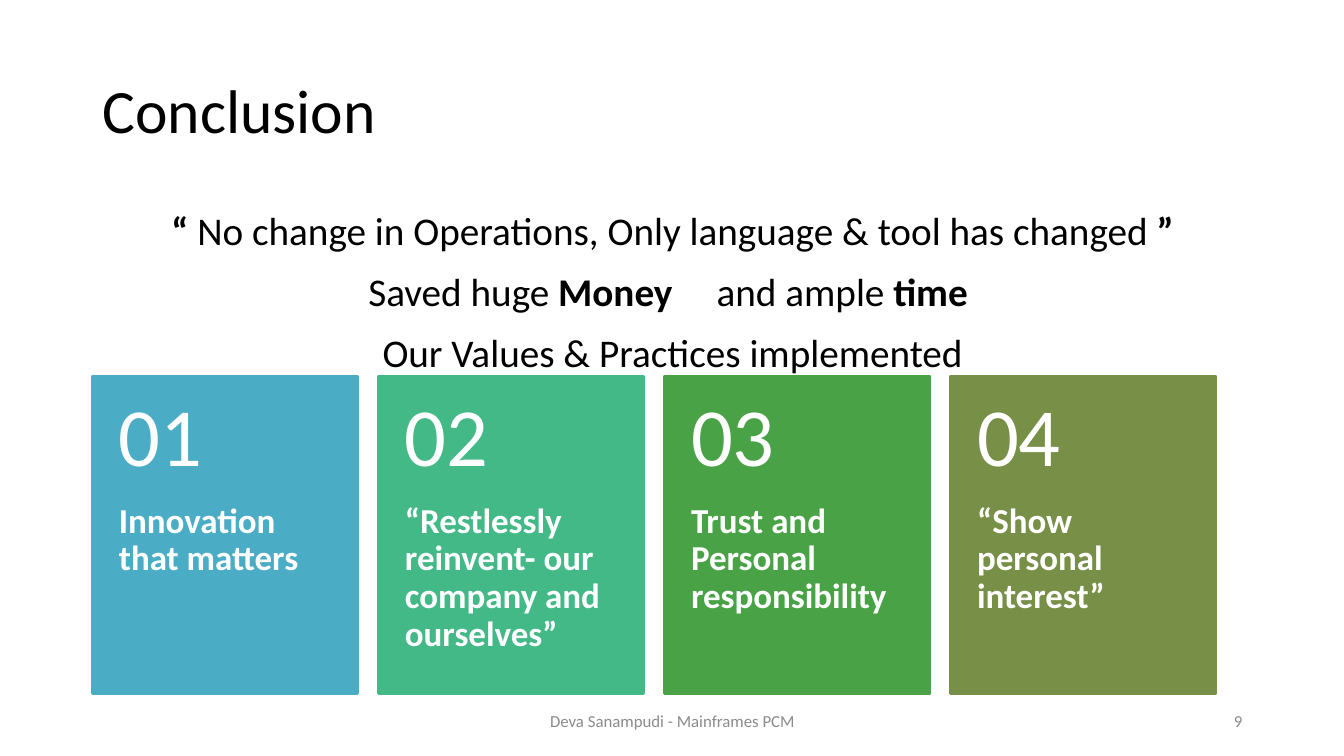
from pptx import Presentation
from pptx.dml.color import RGBColor
from pptx.enum.shapes import MSO_SHAPE
from pptx.enum.text import MSO_ANCHOR, PP_ALIGN
from pptx.util import Inches, Pt

LEFT, CENTER, RIGHT = PP_ALIGN.LEFT, PP_ALIGN.CENTER, PP_ALIGN.RIGHT
TOP, MIDDLE = MSO_ANCHOR.TOP, MSO_ANCHOR.MIDDLE
RECTANGLE = MSO_SHAPE.RECTANGLE

FONT = "Calibri"
BLACK, WHITE, GRAY = "000000", "FFFFFF", "8B8B8B"
DEFAULT_INSETS = (0.1, 0.05, 0.1, 0.05)
NUMBER_INSETS = (0.26, 0.18, 0.26, 0.18)
CARD_INSETS = (0.26, 1.26, 0.26, 0.36)

TITLE = "Conclusion"
GAP = 25.3
STATEMENTS = [
    [("“", True, 0),
     (" No change in Operations, Only language & tool has changed ", False, 0),
     ("”", True, 0)],
    [("Saved huge ", False, 0), ("Money", True, 0), (" ", False, GAP),
     ("and ample ", False, 0), ("time ", True, 0)],
    [("Our Values & Practices implemented", False, 0)],
]
CARDS = [
    ("Innovation that matters", "4BACC6"),
    ("“Restlessly reinvent- our company and ourselves”", "44B988"),
    ("Trust and Personal responsibility", "49A346"),
    ("“Show personal interest”", "778F46"),
]
FOOTER = "Deva Sanampudi - Mainframes PCM"
PAGE_NUMBER = "9"

CARD_LEFT, CARD_TOP, CARD_WIDTH, CARD_HEIGHT = 0.92, 3.73, 2.63, 3.15
CARD_PITCH = 2.837
NUMBER_HEIGHT = 1.26


def color(hex_string):
    return RGBColor.from_string(hex_string)


def prepare_frame(shape, anchor, insets):
    frame = shape.text_frame
    frame.word_wrap = True
    frame.vertical_anchor = anchor
    (frame.margin_left, frame.margin_top,
     frame.margin_right, frame.margin_bottom) = map(Inches, insets)
    return frame


def add_run(paragraph, text, size, hex_string, bold=False, spacing=0):
    run = paragraph.add_run()
    run.text = text
    run.font.name = FONT
    run.font.size = Pt(size)
    run.font.bold = bold
    run.font.color.rgb = color(hex_string)
    if spacing:
        run.font._element.set("spc", str(round(spacing * 100)))


def write_line(shape, text, size, hex_string, alignment=LEFT, anchor=MIDDLE,
               insets=DEFAULT_INSETS, bold=False, line_spacing=1.0):
    paragraph = prepare_frame(shape, anchor, insets).paragraphs[0]
    paragraph.alignment = alignment
    paragraph.line_spacing = line_spacing
    add_run(paragraph, text, size, hex_string, bold)


def add_text_box(slide, left, top, width, height):
    return slide.shapes.add_textbox(*map(Inches, (left, top, width, height)))


def add_statements(slide):
    frame = prepare_frame(add_text_box(slide, 0.92, 2, 11.5, 1.73), TOP, DEFAULT_INSETS)
    for index, runs in enumerate(STATEMENTS):
        paragraph = frame.add_paragraph() if index else frame.paragraphs[0]
        paragraph.alignment = CENTER
        paragraph.space_before = Pt(10 if index else 0)
        for text, bold, spacing in runs:
            add_run(paragraph, text, 28, BLACK, bold, spacing)


def add_card(slide, index, text, fill):
    left = CARD_LEFT + index * CARD_PITCH
    card = slide.shapes.add_shape(
        RECTANGLE, *map(Inches, (left, CARD_TOP, CARD_WIDTH, CARD_HEIGHT)))
    card.shadow.inherit = False
    card.fill.solid()
    card.fill.fore_color.rgb = color(fill)
    card.line.color.rgb = color(fill)
    card.line.width = Pt(2)
    write_line(card, text, 25, WHITE, anchor=TOP, insets=CARD_INSETS,
               bold=True, line_spacing=0.9)
    number = add_text_box(slide, left, CARD_TOP, CARD_WIDTH, NUMBER_HEIGHT)
    write_line(number, f"{index + 1:02}", 59, WHITE, insets=NUMBER_INSETS,
               line_spacing=0.9)


def main():
    presentation = Presentation()
    presentation.slide_width = Inches(13.33)
    presentation.slide_height = Inches(7.5)
    slide = presentation.slides.add_slide(presentation.slide_layouts[6])
    write_line(add_text_box(slide, 0.92, 0.4, 11.5, 1.45), TITLE, 44, BLACK,
               line_spacing=0.9)
    add_statements(slide)
    for index, (text, fill) in enumerate(CARDS):
        add_card(slide, index, text, fill)
    write_line(add_text_box(slide, 4.42, 6.95, 4.5, 0.4), FOOTER, 12, GRAY, CENTER)
    write_line(add_text_box(slide, 9.42, 6.95, 3, 0.4), PAGE_NUMBER, 12, GRAY, RIGHT)
    presentation.save("out.pptx")


if __name__ == "__main__":
    main()
